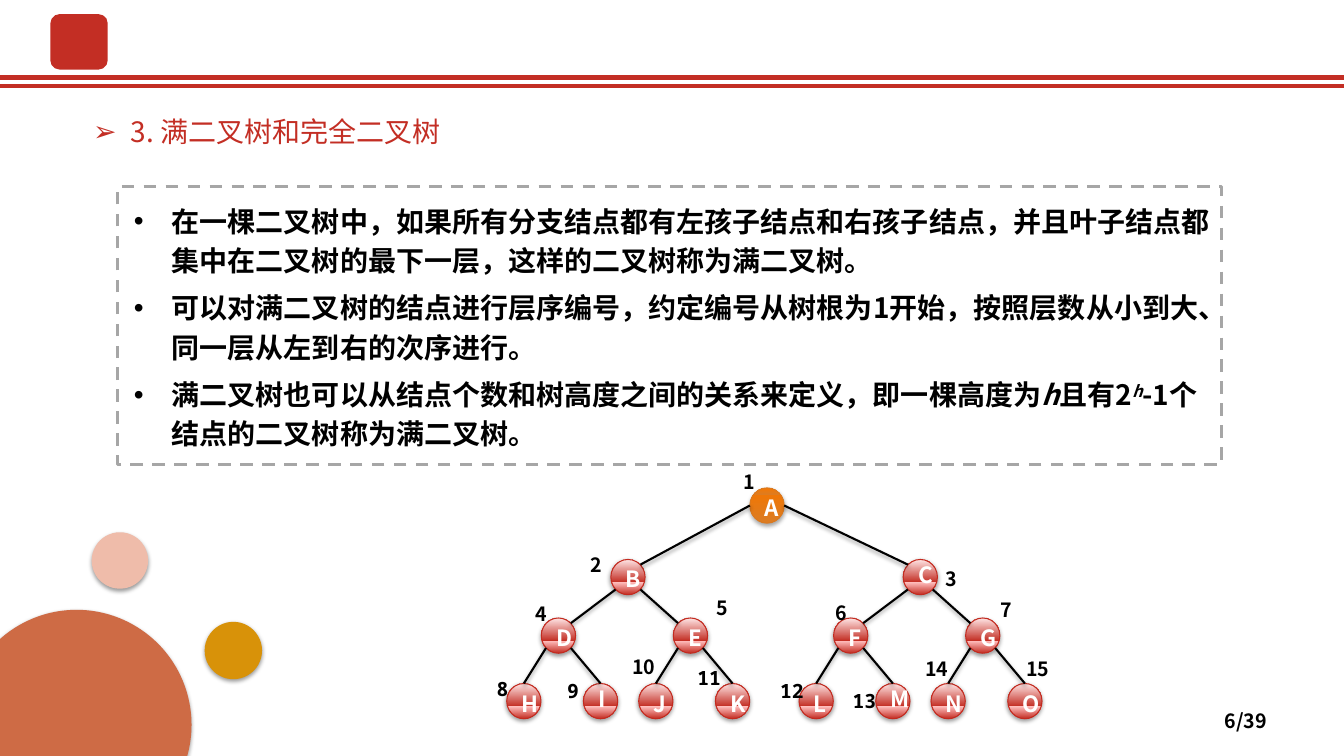
from dataclasses import dataclass
from typing import Optional, Union

from lxml import etree
from pptx import Presentation
from pptx import util as u
from pptx.dml import color
from pptx.enum import dml, shapes, text
from pptx.oxml import ns

Pt = u.Pt
SANS = "Noto Sans CJK SC"
MONO = "Noto Sans Mono"
RED = "C32E24"
BLACK = "000000"
WHITE = "FFFFFF"
NODE_WIDTH, NODE_HEIGHT = 24.5, 25.2
EAR = 8.9
ROOT_CENTER = 547.9
LEVEL_TOPS = (348.5, 399.6, 441.4, 488.2)
CHILD_OFFSETS = ((-99.3, 109.5), (-49.7, 44.6), (-24.7, 30.1))
ROOT_STOPS = ((0, "B85C06"), (0, "DB7C23"), (80, "EF7707"),
              (80, "DB7C23"), (100, "F57803"), (100, "DB7C23"))
NODE_STOPS = ((0, "FFA4A2"), (0, RED), (35, "FFBEBD"),
              (35, RED), (100, "FFE6E6"), (100, RED))


@dataclass
class Node:
    letter: str
    label_left: float
    label_top: float
    label_font: str = SANS
    letter_spacing: Union[float, int] = Pt(22)
    label_spacing: Union[float, int] = 0.8


@dataclass
class Disc:
    left: float
    top: float
    size: float
    fill: str


NODES = [
    Node("A", 520.6, 339.1),
    Node("B", 411.1, 398.2),
    Node("C", 664.6, 399.6, letter_spacing=0.8, label_spacing=Pt(22)),
    Node("D", 372.2, 433.4),
    Node("E", 501.1, 429.1),
    Node("F", 586.1, 432.7),
    Node("G", 704.2, 430.6),
    Node("H", 344.2, 486.7, MONO),
    Node("I", 394.6, 488.2, MONO, letter_spacing=0.8),
    Node("J", 445, 470.9),
    Node("K", 491.8, 478.8, MONO),
    Node("L", 550.8, 488.2, MONO),
    Node("M", 602.6, 486.7, MONO, letter_spacing=0.8, label_spacing=Pt(22)),
    Node("N", 654.5, 472.3),
    Node("O", 726.5, 472.3),
]
DISCS = [
    Disc(-27.4, 435.6, 164.2, "CE6B45"),
    Disc(146.2, 444.2, 41, "D89209"),
    Disc(65.5, 380.2, 40.3, "EFBCAA"),
]
STATEMENTS = [
    ["在一棵二叉树中，如果所有分支结点都有左孩子结点和右孩子结点，并且叶子结点都集中在二叉树的最下一层，这样的二叉树称为满二叉树。"],
    ["可以对满二叉树的结点进行层序编号，约定编号从树根为1开始，按照层数从小到大、同一层从左到右的次序进行。"],
    ["满二叉树也可以从结点个数和树高度之间的关系来定义，即一棵高度为", "h", "且有2", "h",
     "-1个结点的二叉树称为满二叉树。"],
]


def rgb(value: str) -> color.RGBColor:
    return color.RGBColor.from_string(value)


def add_xml(parent, tag: str, **attributes):
    element = etree.SubElement(parent, ns.qn(tag))
    for name, value in attributes.items():
        element.set(name, str(value))
    return element


def style_span(span, size: float, ink: str, bold: bool = False, font: str = SANS) -> None:
    span.font.size = Pt(size)
    span.font.bold = bold
    span.font.color.rgb = rgb(ink)
    span.font.name = font
    add_xml(span.font._element, "a:ea", typeface=font)


def add_bullet(para, mark: str) -> None:
    properties = para._p.get_or_add_pPr()
    properties.set("marL", str(Pt(27)))
    properties.set("indent", str(-Pt(27)))
    add_xml(properties, "a:buFont", typeface="Arial")
    add_xml(properties, "a:buChar", char=mark)


def space_half_line(para, line_spacing: Union[float, int]) -> None:
    para.line_spacing = line_spacing
    before = add_xml(para._p.get_or_add_pPr(), "a:spcBef")
    add_xml(before, "a:spcPct", val=50000)


def cast_shadow(shape, opacity: int = 38, distance: float = 1.6) -> None:
    effects = add_xml(shape._element.spPr, "a:effectLst")
    shadow = add_xml(effects, "a:outerShdw", blurRad=Pt(3.1), dist=Pt(distance),
                     dir=5400000, rotWithShape=0)
    shade = add_xml(shadow, "a:srgbClr", val=BLACK)
    add_xml(shade, "a:alpha", val=opacity * 1000)


def fill_gradient(shape, stops) -> None:
    shape.fill.gradient()
    gradient = shape._element.spPr.find(ns.qn("a:gradFill"))
    for child in list(gradient):
        gradient.remove(child)
    stop_list = add_xml(gradient, "a:gsLst")
    for position, value in stops:
        stop = add_xml(stop_list, "a:gs", pos=position * 1000)
        add_xml(stop, "a:srgbClr", val=value)
    add_xml(gradient, "a:lin", ang=270 * 60000, scaled=0)


def add_shape(page, kind, left: float, top: float, width: float, height: float):
    return page.shapes.add_shape(kind, Pt(left), Pt(top), Pt(width), Pt(height))


def add_text(page, words: str, left: float, top: float, width: float, height: float,
             align, size: float, ink: str, bold: bool, font: str = SANS,
             inset: Optional[float] = None):
    box = page.shapes.add_textbox(Pt(left), Pt(top), Pt(width), Pt(height))
    frame = box.text_frame
    frame.text = words
    frame.word_wrap = True
    if inset is not None:
        frame.margin_left = frame.margin_right = Pt(inset)
        frame.margin_top = frame.margin_bottom = Pt(inset)
    para = frame.paragraphs[0]
    para.alignment = align
    style_span(para.runs[0], size, ink, bold, font)
    return box


def add_line(page, x1: float, y1: float, x2: float, y2: float, ink: str, width: float):
    line = page.shapes.add_connector(shapes.MSO_CONNECTOR.STRAIGHT, Pt(x1), Pt(y1), Pt(x2), Pt(y2))
    line.line.color.rgb = rgb(ink)
    line.line.width = Pt(width)
    return line


def add_header(page) -> None:
    for y in (55.4, 61.2):
        add_xml(add_line(page, 0, y, 960, y, RED, 3)._element.spPr, "a:effectLst")
    badge = add_shape(page, shapes.MSO_SHAPE.ROUNDED_RECTANGLE, 36, 10.1, 41, 39.6)
    badge.shadow.inherit = False
    badge.fill.solid()
    badge.fill.fore_color.rgb = rgb(RED)
    badge.line.fill.background()
    title = add_text(page, "3. 满二叉树和完全二叉树", 36, 78.5, 309.6, 31.7,
                     text.PP_ALIGN.CENTER, 20, RED, False)
    add_bullet(title.text_frame.paragraphs[0], "➢")


def add_statements(page) -> None:
    box = add_shape(page, shapes.MSO_SHAPE.RECTANGLE, 84.2, 133.2, 788.4, 198.7)
    box.shadow.inherit = False
    box.fill.background()
    box.line.color.rgb = rgb("A6A6A6")
    box.line.width = Pt(2.25)
    box.line.dash_style = dml.MSO_LINE.DASH
    frame = box.text_frame
    frame.word_wrap = True
    frame.vertical_anchor = text.MSO_ANCHOR.TOP
    frame.margin_left, frame.margin_right = Pt(11.5), Pt(7.2)
    frame.margin_top = frame.margin_bottom = Pt(8.6)
    for index, pieces in enumerate(STATEMENTS):
        para = frame.add_paragraph() if index else frame.paragraphs[0]
        para.alignment = text.PP_ALIGN.LEFT
        para.line_spacing = Pt(28)
        para.space_before = Pt(6)
        add_bullet(para, "•")
        for place, words in enumerate(pieces):
            span = para.add_run()
            span.text = words
            style_span(span, 20, BLACK, True)
            span.font.italic = words == "h"
            if place == 3:
                span.font._element.set("baseline", "30000")


def add_node(page, node: Node, center: float, top: float, is_root: bool) -> None:
    circle = add_shape(page, shapes.MSO_SHAPE.OVAL, center - NODE_WIDTH / 2, top, NODE_WIDTH, NODE_HEIGHT)
    fill_gradient(circle, ROOT_STOPS if is_root else NODE_STOPS)
    circle.line.color.rgb = rgb("DB791E" if is_root else "C32A1F")
    circle.line.width = Pt(0.75)
    cast_shadow(circle, *((35, 1.8) if is_root else (38, 1.6)))
    circle.text_frame.text = node.letter
    circle.text_frame.word_wrap = True
    circle.text_frame.vertical_anchor = text.MSO_ANCHOR.MIDDLE
    para = circle.text_frame.paragraphs[0]
    para.alignment = text.PP_ALIGN.CENTER
    space_half_line(para, node.letter_spacing)
    style_span(para.runs[0], 16, WHITE, True)


def add_tree(page) -> None:
    centers = {1: ROOT_CENTER}
    for number, node in enumerate(NODES, 1):
        level = number.bit_length() - 1
        parent, side = divmod(number, 2)
        if parent:
            centers[number] = centers[parent] + CHILD_OFFSETS[level - 1][side]
        add_node(page, node, centers[number], LEVEL_TOPS[level], number == 1)
    for number in range(2, len(NODES) + 1):
        level = number.bit_length() - 1
        parent, side = divmod(number, 2)
        toward = 1 if side else -1
        start_x, start_drop = (NODE_WIDTH / 2, 0) if parent == 1 else (EAR, EAR)
        end_x, end_rise = (0, NODE_HEIGHT / 2) if level == 3 else (EAR, EAR)
        middle = NODE_HEIGHT / 2
        edge = add_line(page, centers[parent] + toward * start_x, LEVEL_TOPS[level - 1] + middle + start_drop,
                        centers[number] - toward * end_x, LEVEL_TOPS[level] + middle - end_rise, BLACK, 1.5)
        cast_shadow(edge)
    for number, node in enumerate(NODES, 1):
        label = add_text(page, str(number), node.label_left, node.label_top, 29.5, 13.7,
                         text.PP_ALIGN.CENTER, 14, BLACK, True, node.label_font, 0)
        label.text_frame.auto_size = text.MSO_AUTO_SIZE.SHAPE_TO_FIT_TEXT
        space_half_line(label.text_frame.paragraphs[0], node.label_spacing)


def add_disc(page, disc: Disc) -> None:
    circle = add_shape(page, shapes.MSO_SHAPE.OVAL, disc.left, disc.top, disc.size, disc.size)
    circle.fill.solid()
    circle.fill.fore_color.rgb = rgb(disc.fill)
    circle.line.fill.background()
    cast_shadow(circle)


def main() -> None:
    deck = Presentation()
    deck.slide_width, deck.slide_height = Pt(960), Pt(540)
    page = deck.slides.add_slide(deck.slide_layouts[6])
    add_header(page)
    add_statements(page)
    add_tree(page)
    number = add_text(page, "6/39", 688.3, 500.4, 223.9, 28.8, text.PP_ALIGN.RIGHT, 14, BLACK, True)
    number.text_frame.vertical_anchor = text.MSO_ANCHOR.MIDDLE
    for disc in DISCS:
        add_disc(page, disc)
    deck.save("out.pptx")


if __name__ == "__main__":
    main()
